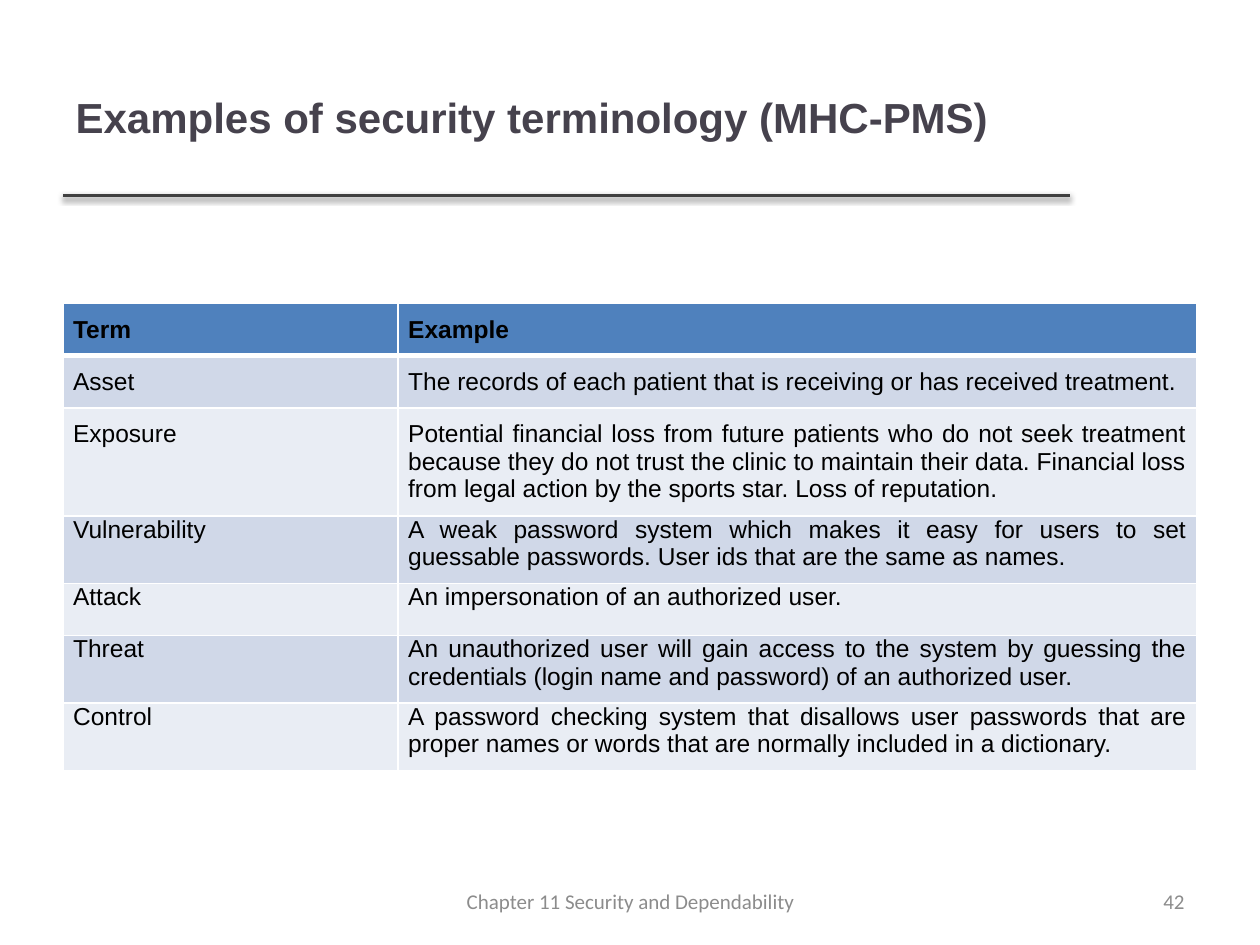
from typing import NamedTuple

from lxml import etree
from pptx import Presentation
from pptx.dml.color import RGBColor
from pptx.enum.shapes import MSO_CONNECTOR
from pptx.enum.text import MSO_ANCHOR, PP_ALIGN
from pptx.oxml import parse_xml
from pptx.oxml.ns import nsdecls, qn
from pptx.util import Inches, Pt

LEFT, RIGHT, CENTER = PP_ALIGN.LEFT, PP_ALIGN.RIGHT, PP_ALIGN.CENTER
JUSTIFY = PP_ALIGN.JUSTIFY
MIDDLE = MSO_ANCHOR.MIDDLE
STRAIGHT = MSO_CONNECTOR.STRAIGHT

COLORS = {
    "title": "46424D",
    "rule": "404040",
    "head": "4F81BD",
    "odd": "D0D8E8",
    "even": "E9EDF4",
    "border": "FFFFFF",
    "text": "000000",
    "footer": "8C8C8C",
}


class Row(NamedTuple):
    term: str
    example: str
    top: float
    bottom: float


class Note(NamedTuple):
    text: str
    left: float
    width: float
    align: PP_ALIGN


ROWS = [
    Row("Term", "Example", 0.1, 0),
    Row("Asset", "The records of each patient that is receiving or has "
        "received treatment.", 0.1, 0.1),
    Row("Exposure", "Potential financial loss from future patients who do not "
        "seek treatment because they do not trust the clinic to maintain "
        "their data. Financial loss from legal action by the sports star. "
        "Loss of reputation.", 0.1, 0.1),
    Row("Vulnerability", "A weak password system which makes it easy for users "
        "to set guessable passwords. User ids that are the same as names.",
        0, 0.1),
    Row("Attack", "An impersonation of an authorized user.", 0, 0.1),
    Row("Threat", "An unauthorized user will gain access to the system by "
        "guessing the credentials (login name and password) of an authorized "
        "user.", 0, 0.1),
    Row("Control", "A password checking system that disallows user passwords "
        "that are proper names or words that are normally included in a "
        "dictionary.", 0, 0.1),
]
NOTES = [
    Note("42", 7.17, 2.33, RIGHT),
    Note("Chapter 11 Security and Dependability", 3.42, 3.17, CENTER),
]
COLS = [2.66, 6.34]
ROW_H = 0.41


def style(para, face: str, size: float, color: str, align: PP_ALIGN,
          bold: bool = False) -> None:
    para.alignment = align
    font = para.font
    font.name, font.size, font.bold = face, Pt(size), bold
    font.color.rgb = RGBColor.from_string(COLORS[color])


def add_rule(slide) -> None:
    line = slide.shapes.add_connector(
        STRAIGHT, Inches(0.5), Inches(1.55), Inches(8.49), Inches(1.55))
    line.line.color.rgb = RGBColor.from_string(COLORS["rule"])
    line.line.width = Pt(2)
    line._element.spPr.append(parse_xml(
        f'<a:effectLst {nsdecls("a")}><a:outerShdw blurRad="{Pt(3.1)}" '
        f'dist="{Pt(1.6)}" dir="5400000" rotWithShape="0">'
        '<a:srgbClr val="000000"><a:alpha val="38000"/></a:srgbClr>'
        '</a:outerShdw></a:effectLst>'))


def set_title(slide, text: str) -> None:
    title = slide.shapes.title
    title.left, title.top = Inches(0.5), Inches(0.3)
    title.width, title.height = Inches(7.98), Inches(1.25)
    title.text_frame.text = text
    title.text_frame.vertical_anchor = MIDDLE
    style(title.text_frame.paragraphs[0], "Arial", 24, "title", LEFT, True)


def add_edges(cell, base: float) -> None:
    props = cell._tc.get_or_add_tcPr()
    for side, width in zip("LRTB", (1, 1, 1, base)):
        edge = etree.SubElement(props, qn(f"a:ln{side}"), w=str(Pt(width)))
        fill = etree.SubElement(edge, qn("a:solidFill"))
        etree.SubElement(fill, qn("a:srgbClr"), val=COLORS["border"])


def fill_cell(cell, text: str, row: Row, fill: str, head: bool) -> None:
    cell.text = text
    cell.margin_left = cell.margin_right = Inches(0.08)
    cell.margin_top, cell.margin_bottom = Inches(row.top), Inches(row.bottom)
    add_edges(cell, 3 if head else 1)
    cell.fill.solid()
    cell.fill.fore_color.rgb = RGBColor.from_string(COLORS[fill])
    style(cell.text_frame.paragraphs[0], "Arial", 14, "text", JUSTIFY, head)


def add_terms(slide) -> None:
    table = slide.shapes.add_table(
        len(ROWS), len(COLS), Inches(0.5), Inches(2.41),
        Inches(sum(COLS)), Inches(ROW_H * len(ROWS))).table
    for col, width in zip(table.columns, COLS):
        col.width = Inches(width)
    for i, row in enumerate(ROWS):
        table.rows[i].height = Inches(ROW_H)
        fill = "head" if i == 0 else "odd" if i % 2 else "even"
        for j, text in enumerate((row.term, row.example)):
            fill_cell(table.cell(i, j), text, row, fill, i == 0)


def add_note(slide, note: Note) -> None:
    box = slide.shapes.add_textbox(
        Inches(note.left), Inches(6.95), Inches(note.width), Inches(0.4))
    frame = box.text_frame
    frame.word_wrap = True
    frame.vertical_anchor = MIDDLE
    frame.text = note.text
    style(frame.paragraphs[0], "Calibri", 12, "footer", note.align)


def main() -> None:
    prs = Presentation()
    prs.slide_width, prs.slide_height = Inches(10), Inches(7.5)
    slide = prs.slides.add_slide(prs.slide_layouts[5])

    # Heading and the rule under it
    add_rule(slide)
    set_title(slide, "Examples of security terminology (MHC-PMS)")

    # Table of terms
    add_terms(slide)

    # Page number and footer
    for note in NOTES:
        add_note(slide, note)

    prs.save("out.pptx")


if __name__ == "__main__":
    main()
